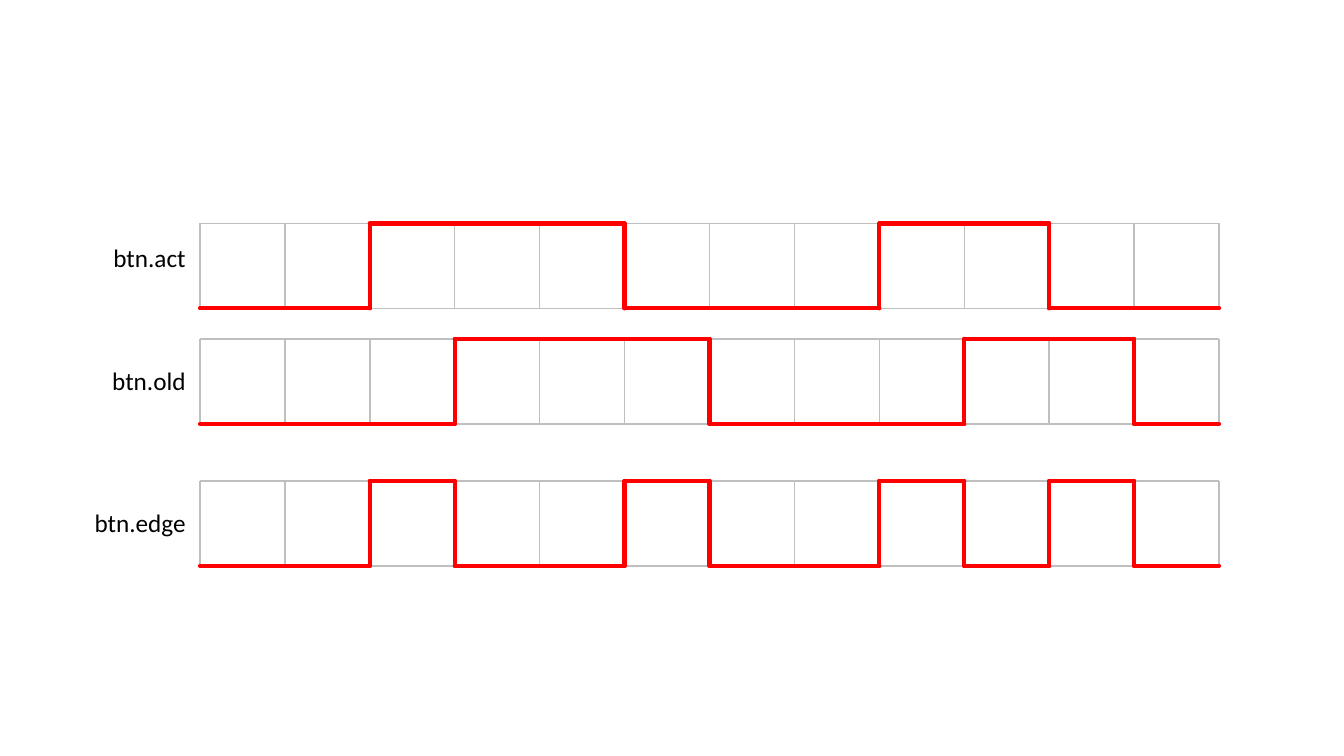
from itertools import pairwise

from lxml import etree
from pptx import Presentation
from pptx.dml.color import RGBColor
from pptx.enum.shapes import MSO_CONNECTOR
from pptx.enum.text import MSO_AUTO_SIZE, PP_ALIGN
from pptx.oxml.ns import qn
from pptx.util import Cm, Pt

STRAIGHT = MSO_CONNECTOR.STRAIGHT
RIGHT = PP_ALIGN.RIGHT
FIT_SHAPE = MSO_AUTO_SIZE.SHAPE_TO_FIT_TEXT

GRID = "BFBFBF"
TRACE = "FF0000"
INK = "000000"
FONT = "Calibri"

CELL = 2.14
GRID_LEFT = 5.04
LABEL_LEFT, LABEL_WIDTH, LABEL_HEIGHT = 1.09, 3.84, 1.02

SIGNALS = [
    ("btn.act", "001110001100", 5.63, 5.99),
    ("btn.old", "000111000110", 8.54, 9.09),
    ("btn.edge", "001001001010", 12.12, 12.67),
]


def rgb(hex_color):
    """Turn a hex string into a colour."""
    return RGBColor.from_string(hex_color)


def add_label(slide, name, top):
    """Write a signal name, right-aligned beside its grid."""
    label = slide.shapes.add_textbox(
        Cm(LABEL_LEFT), Cm(top), Cm(LABEL_WIDTH), Cm(LABEL_HEIGHT))
    frame = label.text_frame
    frame.word_wrap = True
    frame.auto_size = FIT_SHAPE
    frame.text = name
    paragraph = frame.paragraphs[0]
    paragraph.alignment = RIGHT
    font = paragraph.runs[0].font
    font.name = FONT
    font.size = Pt(18)
    font.color.rgb = rgb(INK)


def add_segment(slide, ends, color, width):
    """Draw one straight segment between two points."""
    segment = slide.shapes.add_connector(STRAIGHT, *(Cm(value) for value in ends))
    segment.line.color.rgb = rgb(color)
    segment.line.width = Pt(width)
    properties = segment.element.spPr
    if color == TRACE:
        properties.find(qn("a:ln")).set("cap", "rnd")
    etree.SubElement(properties, qn("a:effectLst"))


def signal_segments(levels, top):
    """Return the grid segments and the trace segments of one signal."""
    bottom = top + CELL
    edges = [GRID_LEFT + CELL * step for step in range(len(levels) + 1)]
    grid, trace = [], []
    for level, (left, right) in zip(levels, pairwise(edges)):
        high, low = (trace, grid) if level == "1" else (grid, trace)
        high.append((left, top, right, top))
        low.append((left, bottom, right, bottom))
    padded = levels[0] + levels + levels[-1]
    for x, (before, after) in zip(edges, pairwise(padded)):
        target = grid if before == after else trace
        target.append((x, top, x, bottom))
    return grid, trace


def add_signal(slide, name, levels, top, label_top):
    """Draw a labelled signal with its trace above its grid."""
    add_label(slide, name, label_top)
    grid, trace = signal_segments(levels, top)
    for ends in grid:
        add_segment(slide, ends, GRID, 1)
    for ends in trace:
        add_segment(slide, ends, TRACE, 3)


def main():
    """Build the timing diagram slide."""
    deck = Presentation()
    deck.slide_width, deck.slide_height = Cm(33.87), Cm(19.05)
    slide = deck.slides.add_slide(deck.slide_layouts[6])
    for signal in SIGNALS:
        add_signal(slide, *signal)
    deck.save("out.pptx")


if __name__ == "__main__":
    main()
